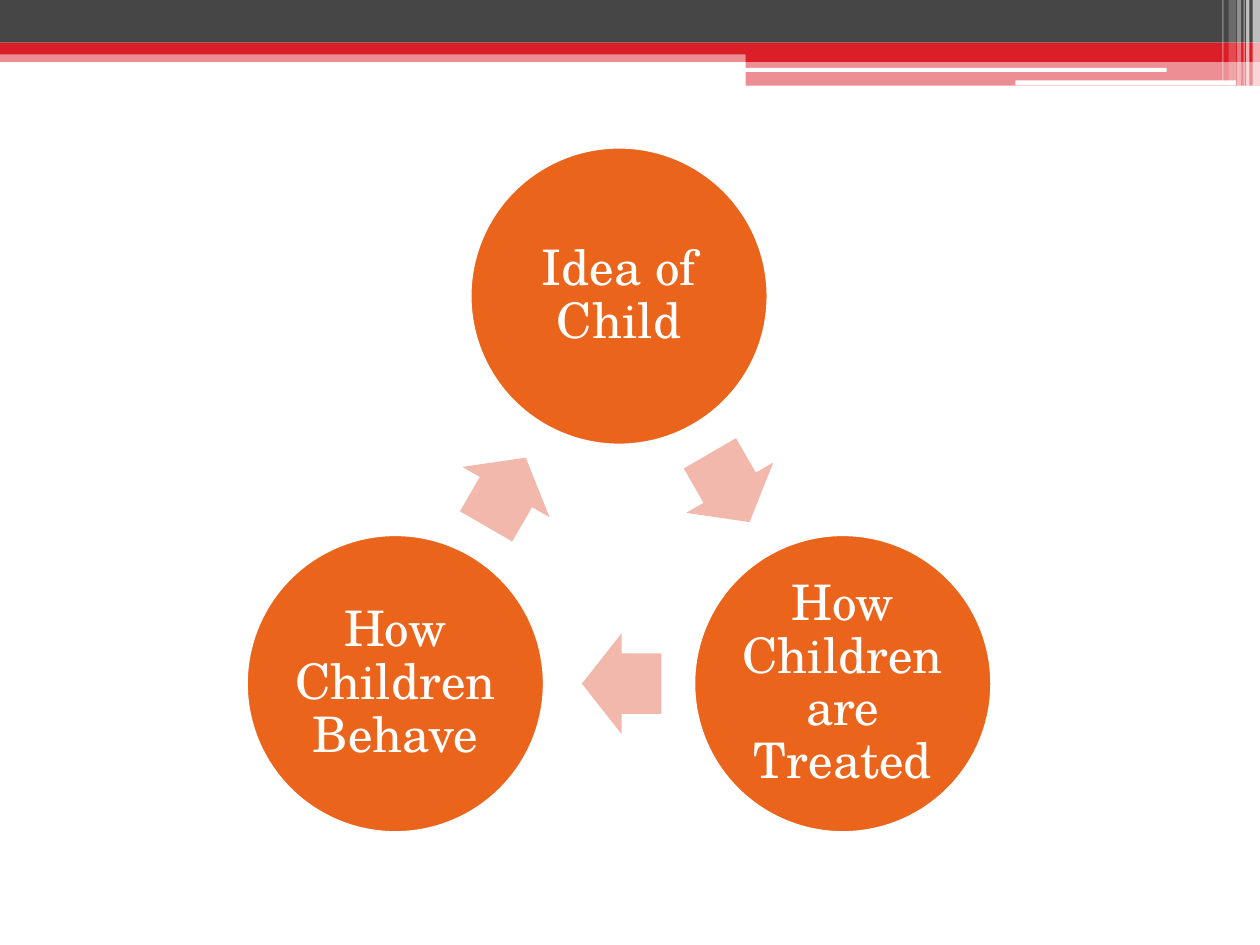
from math import cos, radians, sin

from lxml.etree import SubElement
from pptx import Presentation
from pptx.dml.color import RGBColor
from pptx.enum.shapes import MSO_SHAPE
from pptx.enum.text import MSO_ANCHOR, PP_ALIGN
from pptx.oxml.ns import qn
from pptx.util import Cm, Pt

FONT = "TeX Gyre Schola"
WHITE = "FFFFFF"
DARK = "464646"
RED = "DA1F28"
ORANGE = "EB641B"
PINK = "F3B8AC"


def color(hex_string):
    return RGBColor.from_string(hex_string)


def add_box(slide, kind, left, top, width, height, fill, opacity=100, line=None):
    shape = slide.shapes.add_shape(kind, Cm(left), Cm(top), Cm(width), Cm(height))
    shape.shadow.inherit = False
    shape.fill.solid()
    shape.fill.fore_color.rgb = color(fill)
    if opacity < 100:
        fill_color = shape.fill._xPr.find(qn("a:solidFill"))[0]
        SubElement(fill_color, qn("a:alpha"), val=str(opacity * 1000))
    if line:
        shape.line.color.rgb = color(line)
        shape.line.width = Pt(1.5)
    else:
        shape.line.fill.background()
    return shape


def write_text(shape, text, size=28, font=FONT, fill=WHITE, inset=0.1, spacing=0.9):
    frame = shape.text_frame
    frame.word_wrap = True
    frame.vertical_anchor = MSO_ANCHOR.MIDDLE
    frame.margin_left = frame.margin_right = Cm(inset)
    frame.margin_top = frame.margin_bottom = Cm(inset)
    paragraph = frame.paragraphs[0]
    paragraph.alignment = PP_ALIGN.CENTER
    paragraph.line_spacing = spacing
    run = paragraph.add_run()
    run.text = text
    run.font.size = Pt(size)
    run.font.name = font
    run.font.color.rgb = color(fill)


def add_header(slide, left, top, width):
    panel_left = 15.03
    panel_width = width - panel_left
    bands = [
        (0, 1.02, width, 0.23, RED, 50),
        (0, 0, width, 0.86, DARK, 100),
        (0, 0.86, width, 0.24, RED, 100),
        (panel_left, 1, panel_width, 0.25, RED, 100),
        (panel_left, 1.23, panel_width, 0.5, RED, 50),
    ]
    for x, y, band_width, height, fill, opacity in bands:
        add_box(slide, MSO_SHAPE.RECTANGLE, left + x, top + y, band_width, height, fill, opacity)

    for x, y, rule_width, height in [(15.02, 1.37, 8.5, 0.08), (20.47, 1.62, 4.45, 0.1)]:
        add_box(slide, MSO_SHAPE.ROUNDED_RECTANGLE, left + x, top + y, rule_width, height, WHITE)

    stripes = [
        (25.25, 0.15, 1.73, 65),
        (25.12, 0.07, 1.73, 65),
        (25.07, 0.02, 1.73, 60),
        (24.94, 0.08, 1.73, 40),
        (24.77, 0.15, 1.63, 20),
        (24.64, 0.03, 1.63, 30),
    ]
    for x, stripe_width, height, opacity in stripes:
        add_box(slide, MSO_SHAPE.RECTANGLE, left + x, top, stripe_width, height, WHITE, opacity)


def add_cycle(slide, left, top, width, labels):
    diameter = 6
    arrow_length, arrow_width, arrow_lag = 1.6, 2.03, 0.05
    step = 360 / len(labels)
    radius = (width - diameter) / 2 / sin(radians(step))
    center_x = left + width / 2
    center_y = top + diameter / 2 + radius
    for index, label in enumerate(labels):
        angle = radians(index * step - 90)
        circle = add_box(
            slide, MSO_SHAPE.OVAL,
            center_x + radius * cos(angle) - diameter / 2,
            center_y + radius * sin(angle) - diameter / 2,
            diameter, diameter, ORANGE, line=WHITE,
        )
        write_text(circle, label)

        middle = radians((index + 0.5) * step - 90)
        direction = (index + 0.5) * step
        distance = radius * cos(radians(step / 2))
        x = center_x + distance * cos(middle) - arrow_lag * cos(radians(direction))
        y = center_y + distance * sin(middle) - arrow_lag * sin(radians(direction))
        arrow = add_box(
            slide, MSO_SHAPE.RIGHT_ARROW, x - arrow_length / 2, y - arrow_width / 2,
            arrow_length, arrow_width, PINK,
        )
        arrow.adjustments[0] = 0.6
        arrow.adjustments[1] = 0.5
        arrow.rotation = direction


def main():
    presentation = Presentation()
    presentation.slide_width = Cm(25.4)
    presentation.slide_height = Cm(19.05)
    slide = presentation.slides.add_slide(presentation.slide_layouts[6])
    add_header(slide, 0, 0, 25.4)
    add_cycle(
        slide, 4.97, 2.97, 15.02,
        ["Idea of Child", "How Children are Treated", "How Children Behave"],
    )
    presentation.save("out.pptx")


if __name__ == "__main__":
    main()
